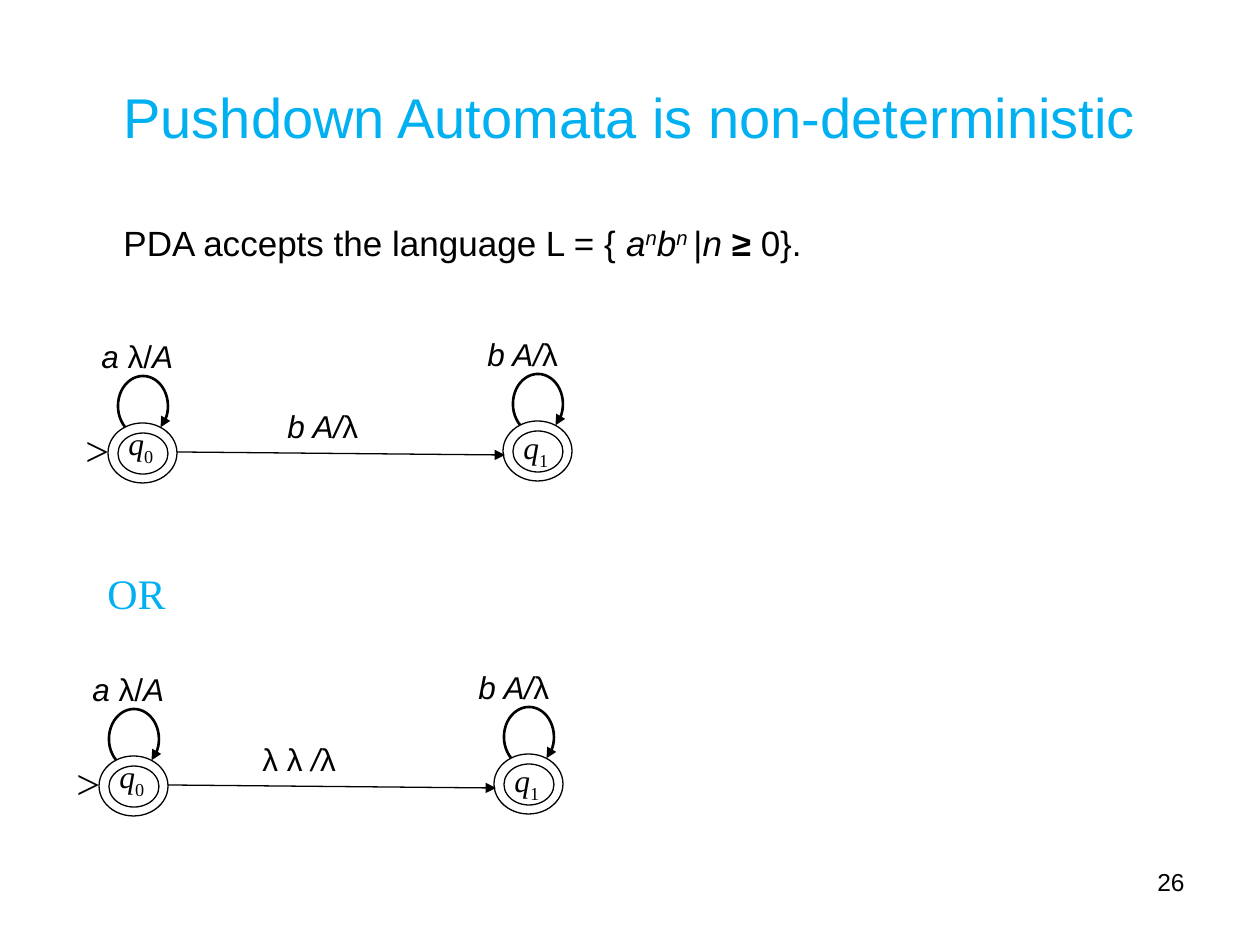
from lxml import etree
from pptx import Presentation
from pptx.dml.color import RGBColor
from pptx.enum.shapes import MSO_CONNECTOR, MSO_SHAPE
from pptx.enum.text import MSO_ANCHOR, PP_ALIGN
from pptx.oxml.ns import qn
from pptx.util import Pt

STRAIGHT = MSO_CONNECTOR.STRAIGHT
ELLIPSE, ARC = MSO_SHAPE.OVAL, MSO_SHAPE.ARC
MIDDLE = MSO_ANCHOR.MIDDLE
LEFT, CENTER, RIGHT = PP_ALIGN.LEFT, PP_ALIGN.CENTER, PP_ALIGN.RIGHT
SANS, SERIF = "Arial", "Times New Roman"
BLACK, SKY = "000000", "00B0F0"
EMU_PER_PX = 914400 / 126
BASELINES = {"^": "30000", "_": "-25000"}

STATE_W, STATE_H = 69, 60
LOOP_START, LOOP_END = 129.5, 50.5
POP_B = [("b A/", "i"), ("λ", "")]
PUSH_A = [("a ", "i"), ("λ/", ""), ("A", "i")]
EMPTY_MOVE = [("λ λ ", ""), ("/", "i"), ("λ", "")]
LANGUAGE = [
    ("PDA accepts the language L = { ", ""), ("a", "i"), ("n", "i^"),
    ("b", "i"), ("n ", "i^"), ("|", ""), ("n ", "i"), ("≥ ", "b"), ("0}.", ""),
]


def px(*lengths):
    return [round(length * EMU_PER_PX) for length in lengths]


def color(hex_string):
    return RGBColor.from_string(hex_string)


def style_run(run, font, size, hex_string, marks=""):
    run.font.name = font
    run.font.size = Pt(size)
    run.font.color.rgb = color(hex_string)
    run.font.italic = "i" in marks
    run.font.bold = "b" in marks
    for mark, baseline in BASELINES.items():
        if mark in marks:
            run.font._element.set("baseline", baseline)


def add_text(shapes, box, pieces, font, size, hex_string=BLACK, align=LEFT):
    frame = shapes.add_textbox(*px(*box)).text_frame
    frame.word_wrap = True
    paragraph = frame.paragraphs[0]
    paragraph.alignment = align
    for text, marks in pieces:
        run = paragraph.add_run()
        run.text = text
        style_run(run, font, size, hex_string, marks)


def style_line(line, width):
    line.color.rgb = color(BLACK)
    line.width = Pt(width)


def add_arrowhead(line):
    etree.SubElement(line._get_or_add_ln(), qn("a:tailEnd"), type="triangle")


def add_outline(shapes, preset, box, width):
    outline = shapes.add_shape(preset, *px(*box))
    outline.shadow.inherit = False
    outline.fill.background()
    style_line(outline.line, width)
    return outline


def add_state(shapes, x, y, index, name_dy, loop_label, label_dx):
    add_outline(shapes, ELLIPSE, (x, y, STATE_W, STATE_H), 0.75)
    add_outline(shapes, ELLIPSE, (x + 10, y + 10, 50, 41), 0.75)
    add_text(shapes, (x + 8, y + name_dy, 66, 55),
             [("q", "i"), (index, "_")], SERIF, 18)
    loop = add_outline(shapes, ARC, (x + 10, y - 47, 50, 60), 1.5)
    for position, degrees in enumerate((LOOP_START, LOOP_END)):
        loop.adjustments[position] = degrees * 0.6
    add_arrowhead(loop.line)
    add_text(shapes, (x + label_dx, y - 92, 180, 50), loop_label, SANS, 18)


def add_move(shapes, x1, y1, x2, y2):
    move = shapes.add_connector(STRAIGHT, *px(x1, y1, x2, y2))
    style_line(move.line, 0.75)
    add_arrowhead(move.line)
    etree.SubElement(move._element.spPr, qn("a:effectLst"))


def add_automaton(slide, x, y, move_label, move_label_dx):
    shapes = slide.shapes.add_group_shape().shapes
    add_text(shapes, (x, y + 90, 60, 63), [(">", "")], SERIF, 24)
    add_state(shapes, x + 35, y + 95, "0", -5, PUSH_A, -19)
    add_state(shapes, x + 430, y + 93, "1", 1, POP_B, -28)
    add_move(shapes, x + 35 + STATE_W, y + 124, x + 432, y + 127)
    add_text(shapes, (x + move_label_dx, y + 73, 180, 50), move_label, SANS, 18)


def add_title(slide, x, y, width, height):
    title = slide.shapes.title
    title.left, title.top, title.width, title.height = px(x, y, width, height)
    frame = title.text_frame
    frame.text = "Pushdown Automata is non-deterministic"
    frame.vertical_anchor = MIDDLE
    heading = frame.paragraphs[0]
    heading.alignment = CENTER
    style_run(heading.runs[0], SANS, 32, SKY)


def main():
    deck = Presentation()
    deck.slide_width, deck.slide_height = px(1260, 945)
    slide = deck.slides.add_slide(deck.slide_layouts[5])
    add_title(slide, 63, 38, 1134, 157)
    add_text(slide.shapes, (111, 215, 760, 55), LANGUAGE, SANS, 20)
    add_automaton(slide, 73, 328, POP_B, 202)
    add_text(slide.shapes, (95, 561, 100, 63), [("OR", "")], SERIF, 24, SKY)
    add_automaton(slide, 64, 661, EMPTY_MOVE, 186)
    add_text(slide.shapes, (903, 861, 294, 66), [("26", "")], SANS, 14, align=RIGHT)
    deck.save("out.pptx")


if __name__ == "__main__":
    main()
